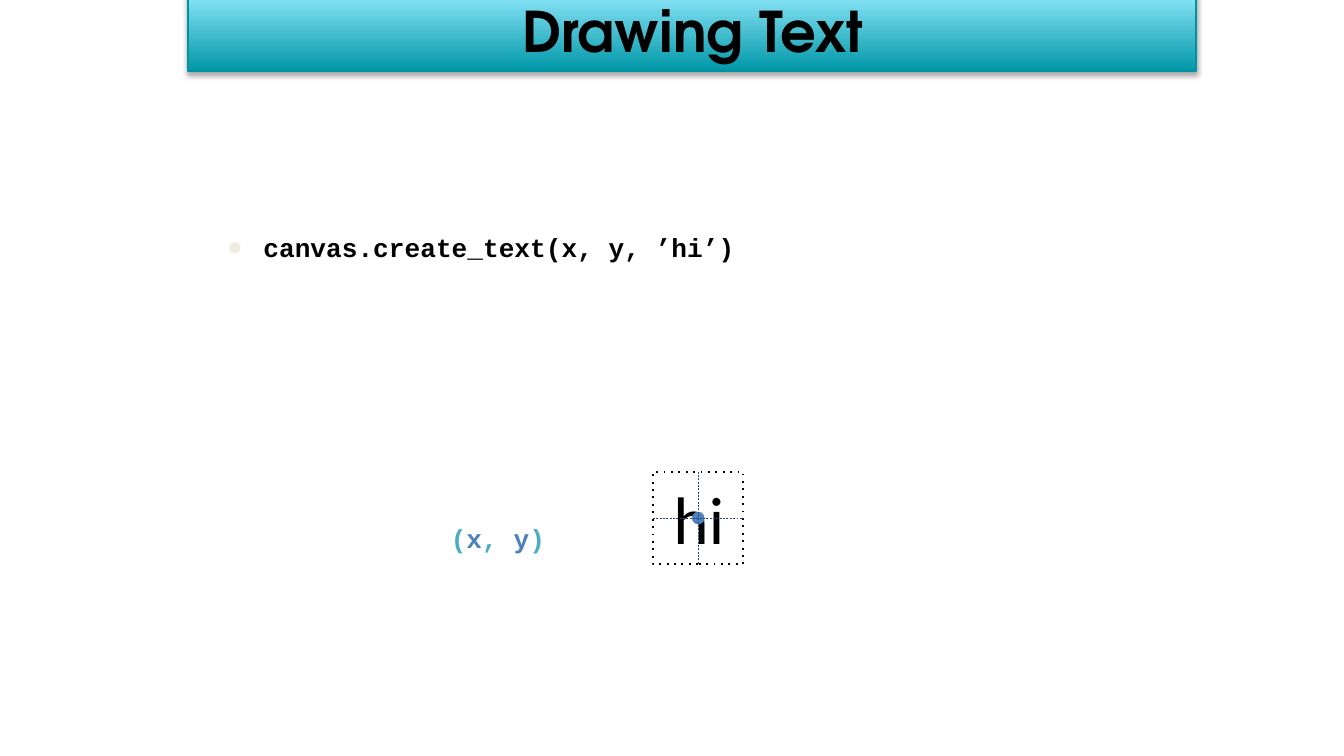
from lxml import etree
from pptx import Presentation
from pptx import util as u
from pptx.dml.color import RGBColor
from pptx.enum import dml, shapes, text
from pptx.oxml.ns import qn

PX = 9144  # EMU in one px, 100 px to the inch
BLACK, BLUE, TEAL, NAVY = "000000", "4F81BD", "4BACC6", "1F497D"
CODE = "Courier New"


def rgb(value):
    return RGBColor.from_string(value)


def emu(*lengths):
    return [u.Emu(length * PX) for length in lengths]


def child(parent, tag, **attributes):
    return etree.SubElement(parent, qn(tag), attributes)


def set_line(line, color, width, dash=None):
    line.color.rgb = rgb(color)
    line.width = u.Pt(width)
    if dash:
        line.dash_style = dash


def add_preset(page, kind, box):
    shape = page.shapes.add_shape(kind, *emu(*box))
    shape.shadow.inherit = False
    return shape


def write(shape, spans, size, font, bold=False, align=None, anchor=text.MSO_ANCHOR.TOP, inset=7):
    """Fill a text shape with one paragraph of (words, color) spans."""
    frame = shape.text_frame
    frame.word_wrap = True
    frame.auto_size = text.MSO_AUTO_SIZE.NONE
    frame.vertical_anchor = anchor
    frame.margin_left, frame.margin_top, frame.margin_right, frame.margin_bottom = emu(*[inset] * 4)
    para = frame.paragraphs[0]
    para.alignment = align
    for words, color in spans:
        span = para.add_run()
        span.text = words
        span.font.size = u.Pt(size)
        span.font.name = font
        span.font.bold = bold
        span.font.color.rgb = rgb(color)
    return para


def add_banner(page, left, top, width, height):
    banner = add_preset(page, shapes.MSO_SHAPE.RECTANGLE, (left, top, width, height))
    banner.fill.gradient()
    banner.fill.gradient_angle = 90
    for stop, color in zip(banner.fill.gradient_stops, ("0097A7", "94EBFE")):
        stop.color.rgb = rgb(color)
    set_line(banner.line, "0094A3", 0.75)
    effects = banner._element.spPr.find(qn("a:effectLst"))
    shadow = child(effects, "a:outerShdw", blurRad=str(u.Pt(3)), dist=str(u.Pt(1.8)),
                   dir="5400000", rotWithShape="0")
    child(child(shadow, "a:srgbClr", val=BLACK), "a:alpha", val="35000")

    title = page.shapes.title
    title.left, title.top, title.width, title.height = emu(left + 4, top, width - 7, height)
    write(title, [("Drawing Text", BLACK)], 30, "TeX Gyre Adventor", True,
          text.PP_ALIGN.CENTER, text.MSO_ANCHOR.MIDDLE, 4)
    title._element.addprevious(banner._element)


def add_code_bullet(page, *box):
    body = page.shapes.add_textbox(*emu(*box))
    para = write(body, [("canvas.create_text(x, y, ’hi’)", BLACK)], 14, CODE, True)
    properties = para._p.get_or_add_pPr()
    properties.set("marL", str(38 * PX))
    properties.set("indent", str(-27 * PX))
    child(child(properties, "a:buClr"), "a:srgbClr", val="EEECE1")
    child(properties, "a:buFont", typeface="Arial")
    child(properties, "a:buChar", char="●")


def add_guide(page, frame, start, end):
    guide = page.shapes.add_connector(shapes.MSO_CONNECTOR.STRAIGHT, 0, 0, 0, 0)
    guide.begin_connect(frame, start)
    guide.end_connect(frame, end)
    set_line(guide.line, NAVY, 0.25, dml.MSO_LINE.DASH)
    child(guide._element.spPr, "a:effectLst")


def add_anchor_diagram(page, left, top, width, height):
    """Dotted frame around the drawn text, with its centre point marked."""
    frame = add_preset(page, shapes.MSO_SHAPE.RECTANGLE, (left, top, width, height))
    frame.fill.background()
    set_line(frame.line, BLACK, 1, dml.MSO_LINE.ROUND_DOT)
    frame._element.spPr.find(".//" + qn("a:prstDash")).set("val", "dot")

    word = page.shapes.add_textbox(*emu(left + 1, top + 2, width - 1, height - 4))
    write(word, [("hi", BLACK)], 36, "Calibri", align=text.PP_ALIGN.CENTER,
          anchor=text.MSO_ANCHOR.MIDDLE)

    size = 9
    point = add_preset(page, shapes.MSO_SHAPE.OVAL,
                       (left + (width - size) // 2, top + (height - size) // 2, size, size))
    point.fill.solid()
    point.fill.fore_color.rgb = rgb(BLUE)
    set_line(point.line, BLUE, 0.25)

    label = page.shapes.add_textbox(*emu(left - 214, top + 31, 197, 37))
    spans = [("(", TEAL), ("x", BLUE), (", ", TEAL), ("y", BLUE), (")", TEAL)]
    write(label, spans, 14, CODE, True, text.PP_ALIGN.CENTER)

    add_guide(page, frame, 0, 2)
    add_guide(page, frame, 1, 3)


def main():
    deck = Presentation()
    deck.slide_width = u.Emu(1000 * PX)
    deck.slide_height = u.Emu(deck.slide_width * 9 // 16)
    page = deck.slides.add_slide(deck.slide_layouts[5])
    add_code_bullet(page, 151, 165, 738, 280)
    add_banner(page, 140, -8, 750, 61)
    add_anchor_diagram(page, 486, 351, 67, 69)
    deck.save("out.pptx")


if __name__ == "__main__":
    main()
